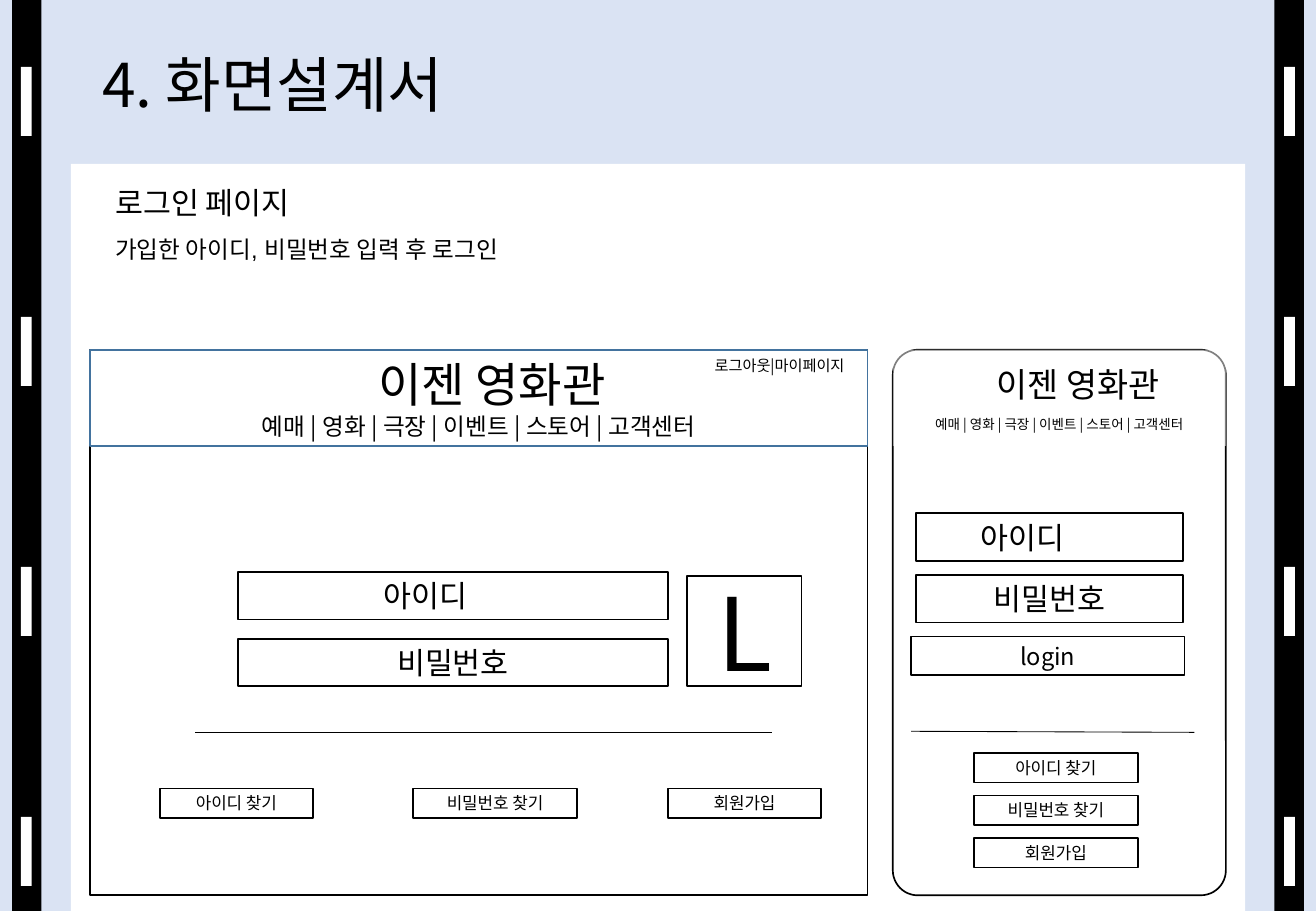
import pptx
import pptx.util
import pptx.dml.color
import pptx.enum.shapes
import pptx.enum.text
import pptx.oxml.ns
from lxml import etree

# Slide grid: 130 columns by 90 rows of 1/12 inch
COLUMNS, ROWS = 130, 90
CELL = 1 / 12
COLORS = {"sky": "DAE3F3", "ink": "000000", "paper": "FFFFFF", "header": "43739E"}
FONT = "Noto Sans CJK KR"
MENU = "예매 | 영화 | 극장 | 이벤트 | 스토어 | 고객센터"
FIELDS = (("아이디", 5.4), ("비밀번호", 0))  # label, right inset
HELP_LABELS = ("아이디 찾기", "비밀번호 찾기", "회원가입")

SHAPE = pptx.enum.shapes.MSO_SHAPE
ALIGN = pptx.enum.text.PP_ALIGN
ANCHOR = pptx.enum.text.MSO_ANCHOR


def cells(*counts):
    return [pptx.util.Inches(count * CELL) for count in counts]


def color(name):
    return pptx.dml.color.RGBColor.from_string(COLORS[name])


def apply(target, formats):
    for name, value in formats.items():
        setattr(target, name, value)


def add_line_of_text(paragraph, text, size, font=FONT, **formats):
    run = paragraph.add_run()
    run.text = text
    apply(run.font, {"size": pptx.util.Pt(size), "name": font})
    run.font.color.rgb = color("ink")
    east_asian = etree.SubElement(run.font._element, pptx.oxml.ns.qn("a:ea"))
    east_asian.set("typeface", FONT)
    apply(paragraph, formats)


def add_block(slide, place, fill=None, line=None, shape=SHAPE.RECTANGLE, alpha=None):
    block = slide.shapes.add_shape(shape, *cells(*place))
    block.shadow.inherit = False
    if fill:
        block.fill.solid()
        block.fill.fore_color.rgb = color(fill)
    else:
        block.fill.background()
    if alpha:
        tint = block._element.spPr.find(".//" + pptx.oxml.ns.qn("a:srgbClr"))
        etree.SubElement(tint, pptx.oxml.ns.qn("a:alpha")).set("val", str(alpha * 1000))
    if line:
        block.line.color.rgb = color(line)
        block.line.width = pptx.util.Pt(1)
    else:
        block.line.fill.background()
    return block


def add_labelled_box(slide, place, label, size, right_inset=0):
    box = add_block(slide, place, "paper", "ink")
    apply(box.text_frame, {"margin_left": 0, "margin_top": 0, "margin_bottom": 0,
                           "margin_right": cells(right_inset)[0],
                           "vertical_anchor": ANCHOR.MIDDLE, "word_wrap": True})
    add_line_of_text(box.text_frame.paragraphs[0], label, size, alignment=ALIGN.CENTER)


def add_text(slide, place, text, size, font=FONT, anchor=ANCHOR.TOP, **formats):
    frame = slide.shapes.add_textbox(*cells(*place)).text_frame
    apply(frame, {"word_wrap": True, "vertical_anchor": anchor})
    add_line_of_text(frame.paragraphs[0], text, size, font, **formats)


def add_divider(slide, *ends):
    divider = slide.shapes.add_connector(
        pptx.enum.shapes.MSO_CONNECTOR.STRAIGHT, *cells(*ends))
    divider.line.color.rgb = color("ink")
    divider.line.width = pptx.util.Pt(0.5)
    etree.SubElement(divider._element.spPr, pptx.oxml.ns.qn("a:effectLst"))


def add_site_header(slide, place, line, name_size, name_indent, menu_size, menu_gap):
    header = add_block(slide, place, "paper", line, alpha=50)
    frame = header.text_frame
    apply(frame, {"margin_left": 0, "margin_right": 0, "word_wrap": True,
                  "vertical_anchor": ANCHOR.MIDDLE})
    site_name = frame.paragraphs[0]
    site_name._p.get_or_add_pPr().set("marL", str(cells(name_indent)[0]))
    add_line_of_text(site_name, "이젠 영화관", name_size, alignment=ALIGN.CENTER)
    add_line_of_text(frame.add_paragraph(), MENU, menu_size, alignment=ALIGN.CENTER,
                     space_before=pptx.util.Pt(menu_gap))


def add_film_strip(slide, left, hole_left):
    add_block(slide, (left, 0, 2.9, ROWS), "ink")
    for hole in range(4):
        add_block(slide, (hole_left, 6.6 + 24.7 * hole, 1.08, 6.84), "paper")


def add_desktop_page(slide):
    add_block(slide, (8.9, 34.55, 76.8, 53.9), line="ink")
    # Login form
    for row, (label, inset) in enumerate(FIELDS):
        add_labelled_box(slide, (23.5, 56.5 + 6.6 * row, 42.5, 4.7), label, 18, inset)
    add_labelled_box(slide, (67.9, 56.9, 11.3, 10.9), "L", 60)
    add_divider(slide, 19.3, 72.35, 76.3, 72.35)
    # Help buttons
    for label, left, width in zip(HELP_LABELS, (15.8, 40.8, 66), (15.1, 16.2, 15.1)):
        add_labelled_box(slide, (left, 77.9, width, 2.9), label, 10)
    # Header
    add_site_header(slide, (8.9, 34.55, 76.8, 9.5), "header", 28, 2.6, 14, 0)
    add_text(slide, (62.2, 34.9, 29.6, 2.4), "로그아웃|마이페이지", 9,
             anchor=ANCHOR.MIDDLE, alignment=ALIGN.CENTER)


def add_mobile_page(slide):
    phone = add_block(slide, (88.2, 34.55, 32.9, 53.9), line="ink",
                      shape=SHAPE.ROUNDED_RECTANGLE)
    phone.adjustments[0] = 0.075
    # Header
    add_site_header(slide, (88.2, 34.55, 32.9, 9.5), None, 20, 3.7, 8, 7)
    # Login form
    for row, (label, inset) in enumerate(FIELDS):
        add_labelled_box(slide, (90.5, 50.7 + 6.1 * row, 26.4, 4.7), label, 18, inset)
    add_labelled_box(slide, (90, 62.9, 27, 3.8), "login", 14)
    add_divider(slide, 90, 72.25, 118, 72.35)
    # Help buttons
    for row, label in enumerate(HELP_LABELS):
        add_labelled_box(slide, (96.2, 74.4 + 4.2 * row, 16.2, 2.9), label, 10)


def main():
    deck = pptx.Presentation()
    deck.slide_width, deck.slide_height = cells(COLUMNS, ROWS)
    slide = deck.slides.add_slide(deck.slide_layouts[6])
    slide.background.fill.solid()
    slide.background.fill.fore_color.rgb = color("sky")

    # Film strips and title
    add_film_strip(slide, 1.2, 2.05)
    add_film_strip(slide, 125.9, 126.84)
    add_text(slide, (8.9, 0, 112.1, 17.4), "4. 화면설계서", 35.8,
             anchor=ANCHOR.MIDDLE, line_spacing=0.9)

    # Page description and its two mock-ups
    add_block(slide, (7, 16.2, 116, 73.8), "paper")
    add_desktop_page(slide)
    add_mobile_page(slide)
    add_text(slide, (10.2, 17.6, 47.3, 4.8), "로그인 페이지", 18, "Arial")
    add_text(slide, (10.2, 22.6, 110.9, 4.1),
             "가입한 아이디, 비밀번호 입력 후 로그인", 14, "Arial")

    deck.save("out.pptx")


if __name__ == "__main__":
    main()
